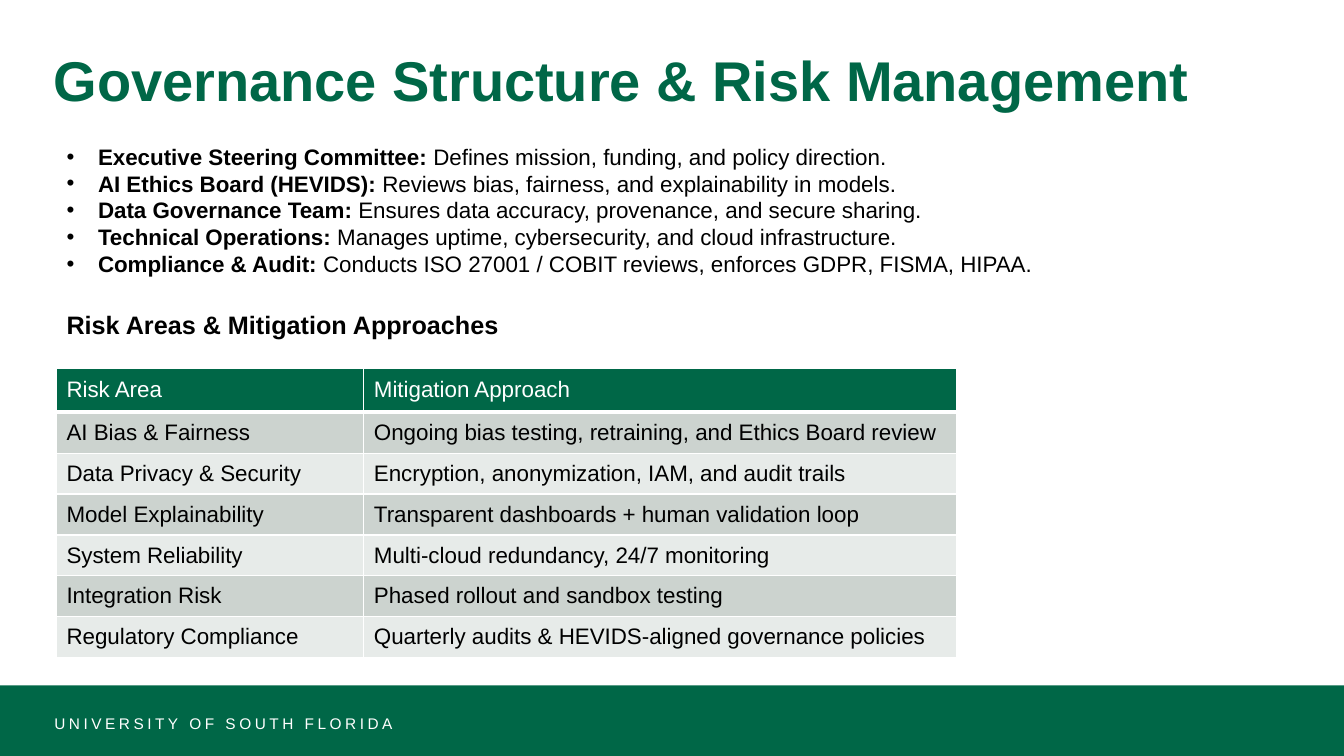
from typing import NamedTuple

from pptx import Presentation
from pptx import oxml as ox
from pptx import util as u
from pptx.dml.color import RGBColor
from pptx.enum import shapes, text
from pptx.oxml import ns

Pt = u.Pt

GREEN = RGBColor(0x00, 0x67, 0x47)
WHITE = RGBColor(0xFF, 0xFF, 0xFF)
BLACK = RGBColor(0x00, 0x00, 0x00)
DARK = RGBColor(0xCC, 0xD3, 0xCF)
LIGHT = RGBColor(0xE7, 0xEB, 0xE9)
FONT = "Arial"

WIDTH, HEIGHT = 960, 540
BAND = 50.4
INDENT = 22.5
COLS = (219.6, 423.4)
HEAD_ROW, ROW = 31.5, 29.2


class Group(NamedTuple):
    name: str
    duty: str


class Risk(NamedTuple):
    area: str
    plan: str


GROUPS = (
    Group("Executive Steering Committee:", " Defines mission, funding, and policy direction."),
    Group("AI Ethics Board (HEVIDS):", " Reviews bias, fairness, and explainability in models."),
    Group("Data Governance Team:", " Ensures data accuracy, provenance, and secure sharing."),
    Group("Technical Operations:", " Manages uptime, cybersecurity, and cloud infrastructure."),
    Group("Compliance & Audit:", " Conducts ISO 27001 / COBIT reviews, enforces GDPR, FISMA, HIPAA."),
)

RISKS = (
    Risk("Risk Area", "Mitigation Approach"),
    Risk("AI Bias & Fairness", "Ongoing bias testing, retraining, and Ethics Board review"),
    Risk("Data Privacy & Security", "Encryption, anonymization, IAM, and audit trails"),
    Risk("Model Explainability", "Transparent dashboards + human validation loop"),
    Risk("System Reliability", "Multi-cloud redundancy, 24/7 monitoring"),
    Risk("Integration Risk", "Phased rollout and sandbox testing"),
    Risk("Regulatory Compliance", "Quarterly audits & HEVIDS-aligned governance policies"),
)


def place(shape, left: float, top: float, width: float, height: float) -> None:
    shape.left, shape.top = Pt(left), Pt(top)
    shape.width, shape.height = Pt(width), Pt(height)


def add_run(para, words: str, size: float, color: RGBColor, bold: bool = False):
    run = para.add_run()
    run.text = words
    font = run.font
    font.name, font.size, font.bold = FONT, Pt(size), bold
    font.color.rgb = color
    return run


def set_mark(para, indent: float, mark: str = "") -> None:
    """Set the hanging indent and the bullet; no mark means no bullet."""
    props = para._p.get_or_add_pPr()
    props.set("marL", str(Pt(indent)))
    props.set("indent", str(-Pt(indent)))
    if mark:
        face = ox.parse_xml(f'<a:buFont {ns.nsdecls("a")} typeface="{FONT}"/>')
        sign = ox.parse_xml(f'<a:buChar {ns.nsdecls("a")} char="{mark}"/>')
        props.extend((face, sign))
    else:
        props.append(ox.parse_xml(f'<a:buNone {ns.nsdecls("a")}/>'))


def set_edges(cell, top: float, bottom: float) -> None:
    """Draw white cell borders, one point wide at the sides."""
    props = cell._tc.get_or_add_tcPr()
    for i, (side, width) in enumerate(zip("LRTB", (1, 1, top, bottom))):
        props.insert(i, ox.parse_xml(
            f'<a:ln{side} {ns.nsdecls("a")} w="{Pt(width)}"><a:solidFill>'
            f'<a:srgbClr val="{WHITE}"/></a:solidFill></a:ln{side}>'))


def add_title(slide) -> None:
    title = slide.shapes.title
    place(title, 31, 7.2, 898.6, 104.4)
    frame = title.text_frame
    frame.auto_size = text.MSO_AUTO_SIZE.NONE
    frame.vertical_anchor = text.MSO_ANCHOR.MIDDLE
    para = frame.paragraphs[0]
    para.alignment = text.PP_ALIGN.LEFT
    para.line_spacing = 0.9
    add_run(para, "Governance Structure & Risk Management", 40, GREEN, True)


def add_body(slide) -> None:
    body = slide.placeholders[1]
    place(body, 40.3, 98.6, 818.6, 257)
    frame = body.text_frame
    frame.auto_size = text.MSO_AUTO_SIZE.NONE
    for i, group in enumerate(GROUPS):
        para = frame.add_paragraph() if i else frame.paragraphs[0]
        set_mark(para, INDENT, "•")
        para.space_before = Pt(0)
        para.line_spacing = Pt(19.1)
        add_run(para, group.name, 16, BLACK, True)
        add_run(para, group.duty, 16, BLACK)
    head = frame.add_paragraph()
    set_mark(head, 0)
    head.space_before = Pt(23)
    add_run(head, "Risk Areas & Mitigation Approaches", 18, BLACK, True)


def add_risks(slide) -> None:
    high = HEAD_ROW + ROW * (len(RISKS) - 1)
    grid = slide.shapes.add_table(
        len(RISKS), len(COLS), Pt(40.3), Pt(263), Pt(sum(COLS)), Pt(high)).table
    for col, width in zip(grid.columns, COLS):
        col.width = Pt(width)
    for r, risk in enumerate(RISKS):
        grid.rows[r].height = Pt(ROW if r else HEAD_ROW)
        fill = (DARK if r % 2 else LIGHT) if r else GREEN
        for c, words in enumerate(risk):
            cell = grid.cell(r, c)
            cell.vertical_anchor = text.MSO_ANCHOR.MIDDLE
            set_edges(cell, 3 if r == 1 else 1, 1 if r else 3)
            cell.fill.solid()
            cell.fill.fore_color.rgb = fill
            add_run(cell.text_frame.paragraphs[0], words, 16, BLACK if r else WHITE)


def add_footer(slide) -> None:
    band = slide.shapes.add_shape(
        shapes.MSO_SHAPE.RECTANGLE, 0, Pt(HEIGHT - BAND), Pt(WIDTH), Pt(BAND))
    band.shadow.inherit = False
    band.fill.solid()
    band.fill.fore_color.rgb = GREEN
    band.line.fill.background()
    box = slide.shapes.add_textbox(Pt(31.7), Pt(506.2), Pt(635), Pt(21.6))
    frame = box.text_frame
    frame.word_wrap = True
    frame.vertical_anchor = text.MSO_ANCHOR.MIDDLE
    run = add_run(frame.paragraphs[0], "UNIVERSITY OF SOUTH FLORIDA", 11, WHITE)
    run._r.get_or_add_rPr().set("spc", "250")


def main() -> None:
    deck = Presentation()
    deck.slide_width, deck.slide_height = Pt(WIDTH), Pt(HEIGHT)
    slide = deck.slides.add_slide(deck.slide_layouts[1])
    add_title(slide)
    add_body(slide)
    add_risks(slide)
    add_footer(slide)
    deck.save("out.pptx")


if __name__ == "__main__":
    main()
